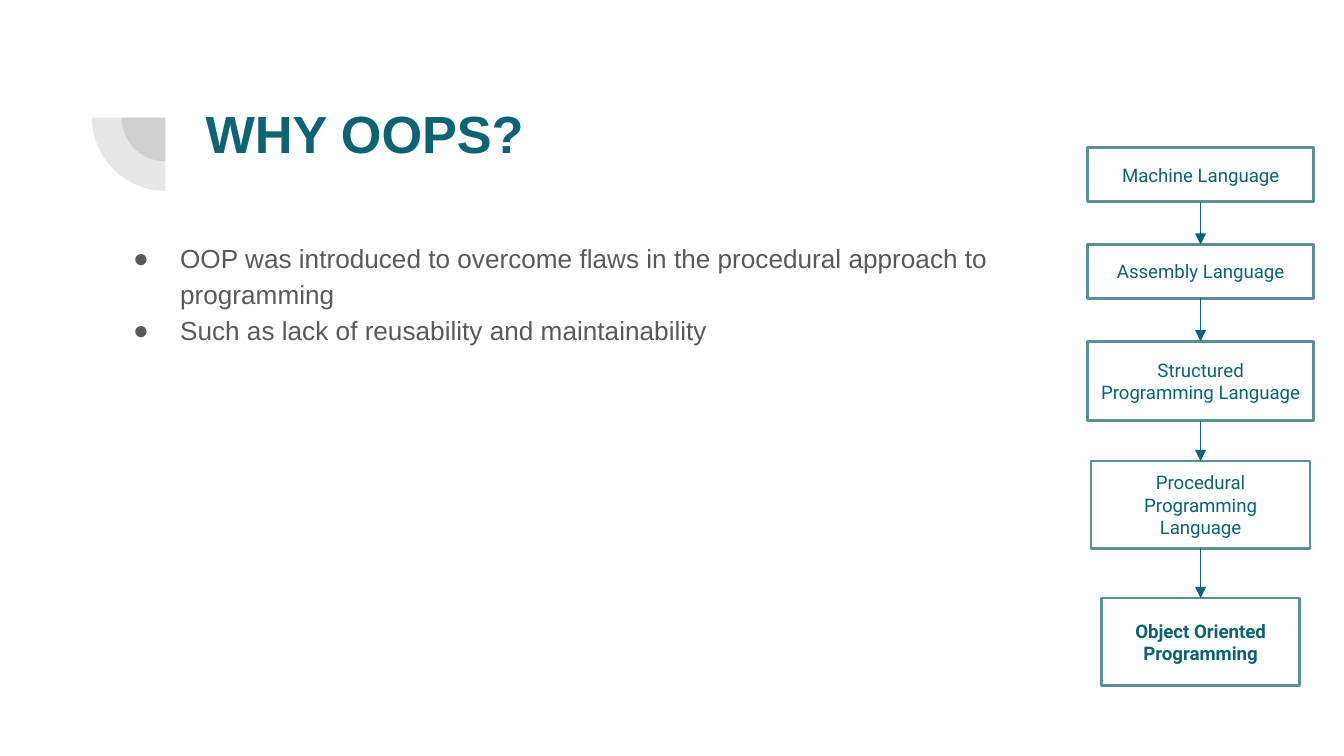
from itertools import pairwise

from lxml.etree import SubElement
from pptx import Presentation
from pptx.dml.color import RGBColor
from pptx.enum.shapes import MSO_CONNECTOR, MSO_SHAPE
from pptx.enum.text import MSO_ANCHOR, MSO_AUTO_SIZE, PP_ALIGN
from pptx.oxml.ns import qn
from pptx.util import Inches, Pt

# Grid: ten cells to the inch on a 16:9 page
CELLS_PER_INCH = 10
COLUMNS = 100
ROWS = COLUMNS * 9 / 16
FLOW_CENTRE = 89.33

TEAL = RGBColor(0x0B, 0x63, 0x74)
BORDER = RGBColor(0x59, 0x91, 0x91)
GREY = RGBColor(0x59, 0x59, 0x59)
CHARCOAL = RGBColor(0x42, 0x42, 0x42)

BULLETS = (
    "OOP was introduced to overcome flaws in the procedural approach to programming",
    "Such as lack of reusability and maintainability",
)
# Text, top row, width, height, bold
STAGES = (
    ("Machine Language", 11, 16.8, 4, False),
    ("Assembly Language", 18.2, 16.8, 4, False),
    ("Structured Programming Language", 25.4, 16.8, 5.9, False),
    ("Procedural Programming Language", 34.3, 16.3, 6.5, False),
    ("Object Oriented Programming", 44.5, 14.7, 6.5, True),
)


def cells(*counts):
    return [Inches(count / CELLS_PER_INCH) for count in counts]


def write(para, text, size, font="Arial", color=TEAL, bold=False, align=PP_ALIGN.LEFT):
    para.alignment = align
    span = para.add_run()
    span.text = text
    span.font.size = Pt(size)
    span.font.name = font
    span.font.color.rgb = color
    span.font.bold = bold


def prepare_frame(shape, anchor=MSO_ANCHOR.TOP):
    frame = shape.text_frame
    frame.word_wrap = True
    frame.auto_size = MSO_AUTO_SIZE.NONE
    frame.vertical_anchor = anchor
    frame.margin_left = frame.margin_right = Inches(0.1)
    frame.margin_top = frame.margin_bottom = Inches(0.1)
    return frame


def place(shape, left, top, width, height):
    shape.left, shape.top, shape.width, shape.height = cells(left, top, width, height)


def add_bullet(para, color):
    properties = para._p.get_or_add_pPr()
    properties.set("marL", str(Inches(0.5)))
    properties.set("indent", str(Inches(-0.35)))
    bullet_color = SubElement(properties, qn("a:buClr"))
    SubElement(bullet_color, qn("a:srgbClr"), val=str(color))
    SubElement(properties, qn("a:buFont"), typeface="Arial")
    SubElement(properties, qn("a:buChar"), char="●")


def add_quarter(page, centre_x, centre_y, diameter):
    corner = (centre_x - diameter / 2, centre_y - diameter / 2)
    pie = page.shapes.add_shape(MSO_SHAPE.PIE, *cells(*corner, diameter, diameter))
    pie.adjustments[0], pie.adjustments[1] = 108, 162
    pie.rotation = 270
    pie.shadow.inherit = False
    pie.line.fill.background()
    pie.fill.solid()
    pie.fill.fore_color.rgb = CHARCOAL
    color = pie._element.spPr.find(qn("a:solidFill"))[0]
    SubElement(color, qn("a:alpha"), val="13000")


def add_stage(page, text, top, width, height, bold):
    box = page.shapes.add_shape(
        MSO_SHAPE.RECTANGLE, *cells(FLOW_CENTRE - width / 2, top, width, height))
    box.shadow.inherit = False
    box.fill.background()
    box.line.color.rgb = BORDER
    box.line.width = Pt(1.5)
    frame = prepare_frame(box, MSO_ANCHOR.MIDDLE)
    write(frame.paragraphs[0], text, 10, font="Roboto", bold=bold, align=PP_ALIGN.CENTER)
    return box


def add_arrow(page, upper, lower):
    arrow = page.shapes.add_connector(MSO_CONNECTOR.STRAIGHT, 0, 0, 0, 0)
    arrow.begin_connect(upper, 2)
    arrow.end_connect(lower, 0)
    arrow.line.color.rgb = TEAL
    arrow.line.width = Pt(0.75)
    SubElement(arrow.line._get_or_add_ln(), qn("a:tailEnd"), type="triangle")
    SubElement(arrow._element.spPr, qn("a:effectLst"))


def main():
    deck = Presentation()
    deck.slide_width, deck.slide_height = cells(COLUMNS, ROWS)
    page = deck.slides.add_slide(deck.slide_layouts[1])
    title, body = page.placeholders

    # Corner ornament
    for diameter in (6.5, 10.9):
        add_quarter(page, 12.3, 8.75, diameter)

    # Title
    place(title, 14.3, 6.5, 76.9, 10.9)
    write(prepare_frame(title).paragraphs[0], "WHY OOPS?", 28, bold=True)

    # Bullet list
    place(body, 7.4, 16.7, 76.9, 27.8)
    frame = prepare_frame(body)
    for index, text in enumerate(BULLETS):
        para = frame.add_paragraph() if index else frame.paragraphs[0]
        para.line_spacing = 1.15
        para.space_before = Pt(0)
        add_bullet(para, GREY)
        write(para, text, 14, color=GREY)

    # Language flow
    boxes = [add_stage(page, *stage) for stage in STAGES]
    for upper, lower in pairwise(boxes):
        add_arrow(page, upper, lower)

    deck.save("out.pptx")


if __name__ == "__main__":
    main()
